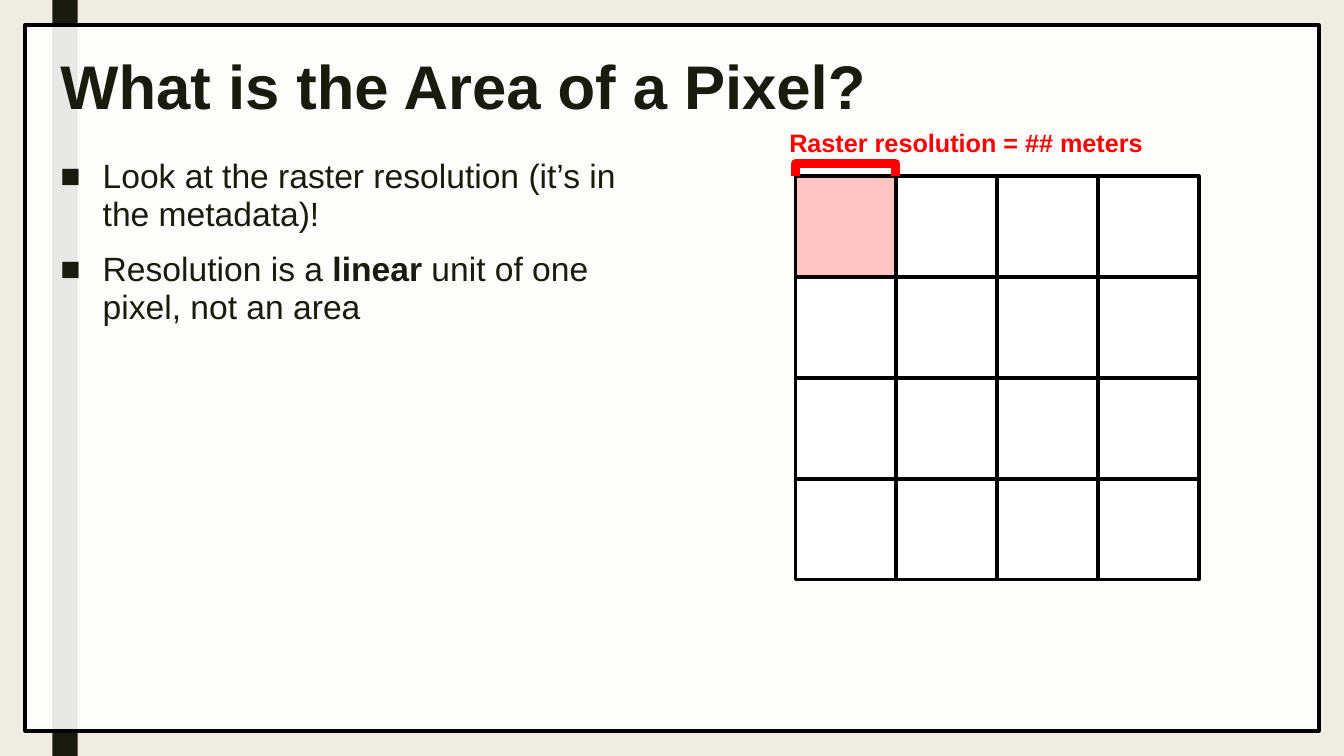
from lxml import etree
from pptx import Presentation
from pptx import util as u
from pptx.dml.color import RGBColor
from pptx.enum import shapes, text
from pptx.oxml.ns import qn

INK, RED, WHITE, BLACK = "191B0E", "FF0000", "FFFFFF", "000000"


def color(value):
    return RGBColor.from_string(value)


class SlideBuilder:
    font = "Arial"
    line_width = 2.75

    def __init__(self, deck, background):
        self.page = deck.slides.add_slide(deck.slide_layouts[5])
        fill = self.page.background.fill
        fill.solid()
        fill.fore_color.rgb = color(background)

    def place(self, shape, area):
        shape.left, shape.top, shape.width, shape.height = map(u.Inches, area)

    def add_span(self, para, words, size, ink, bold=False):
        span = para.add_run()
        span.text = words
        span.font.name = self.font
        span.font.size = u.Pt(size)
        span.font.bold = bold
        span.font.color.rgb = color(ink)

    def shape(self, kind, area, fill=None, line=None, width=line_width, opacity=100, parent=None):
        box = (parent or self.page).shapes.add_shape(kind, *map(u.Inches, area))
        box.shadow.inherit = False
        if fill:
            box.fill.solid()
            box.fill.fore_color.rgb = color(fill)
            if opacity < 100:
                tint = box.element.spPr.find(qn("a:solidFill"))[0]
                etree.SubElement(tint, qn("a:alpha"), val=str(opacity * 1000))
        else:
            box.fill.background()
        if line:
            box.line.color.rgb = color(line)
            box.line.width = u.Pt(width)
        else:
            box.line.fill.background()
        return box

    def title(self, area, words, size):
        box = self.page.shapes.title
        self.page.shapes[-1].element.addnext(box.element)
        self.place(box, area)
        frame = box.text_frame
        frame.auto_size = text.MSO_AUTO_SIZE.SHAPE_TO_FIT_TEXT
        frame.vertical_anchor = text.MSO_ANCHOR.MIDDLE
        para = frame.paragraphs[0]
        para.alignment = text.PP_ALIGN.LEFT
        para.line_spacing = 0.89
        self.add_span(para, words, size, INK, True)

    def text_box(self, area):
        frame = self.page.shapes.add_textbox(*map(u.Inches, area)).text_frame
        frame.word_wrap = True
        return frame

    def label(self, area, words, size, ink):
        frame = self.text_box(area)
        frame.auto_size = text.MSO_AUTO_SIZE.SHAPE_TO_FIT_TEXT
        self.add_span(frame.paragraphs[0], words, size, ink, True)

    def bullets(self, area, items, size):
        frame = self.text_box(area)
        indent = u.Inches(0.42)
        for index, spans in enumerate(items):
            para = frame.add_paragraph() if index else frame.paragraphs[0]
            para.line_spacing = 0.94
            para.space_before = u.Pt(10 if index else 0)
            para.space_after = u.Pt(2)
            props = para._p.get_or_add_pPr()
            props.set("marL", str(indent))
            props.set("indent", str(-indent))
            etree.SubElement(props, qn("a:buFont"), typeface=self.font)
            etree.SubElement(props, qn("a:buChar"), char="■")
            for words, bold in spans:
                self.add_span(para, words, size, INK, bold)

    def pixel_grid(self, left, top, count, side):
        grid = self.page.shapes.add_group_shape()
        for row in range(count):
            for column in reversed(range(count)):
                fill = "FFC5C5" if row == column == 0 else WHITE
                area = (left + column * side, top + row * side, side, side)
                self.shape(shapes.MSO_SHAPE.RECTANGLE, area, fill, BLACK, parent=grid)


def main():
    deck = Presentation()
    deck.slide_width, deck.slide_height = u.Inches(13.33), u.Inches(7.5)
    slide = SlideBuilder(deck, "EFEDE3")
    rectangle = shapes.MSO_SHAPE.RECTANGLE
    slide.shape(rectangle, (0.52, 0, 0.25, 7.5), INK)
    slide.shape(rectangle, (0.25, 0.25, 12.83, 7), WHITE, BLACK, opacity=90)
    slide.title((0.5, 0.51, 12.35, 0.77), "What is the Area of a Pixel?", 44)
    slide.bullets((0.5, 1.52, 6.18, 5.48), [
        [("Look at the raster resolution (it’s in the metadata)!", False)],
        [("Resolution is a ", False), ("linear", True),
         (" unit of one pixel, not an area", False)],
    ], 24)
    slide.pixel_grid(7.89, 1.75, 4, 1)
    bracket = slide.shape(shapes.MSO_SHAPE.RIGHT_BRACKET, (8.32, 1.19, 0.13, 0.99), line=RED, width=6)
    bracket.adjustments[0] = 0
    bracket.rotation = 270
    slide.label((7.73, 1.21, 4.04, 0.4), "Raster resolution = ## meters", 18, RED)
    deck.save("out.pptx")


if __name__ == "__main__":
    main()
